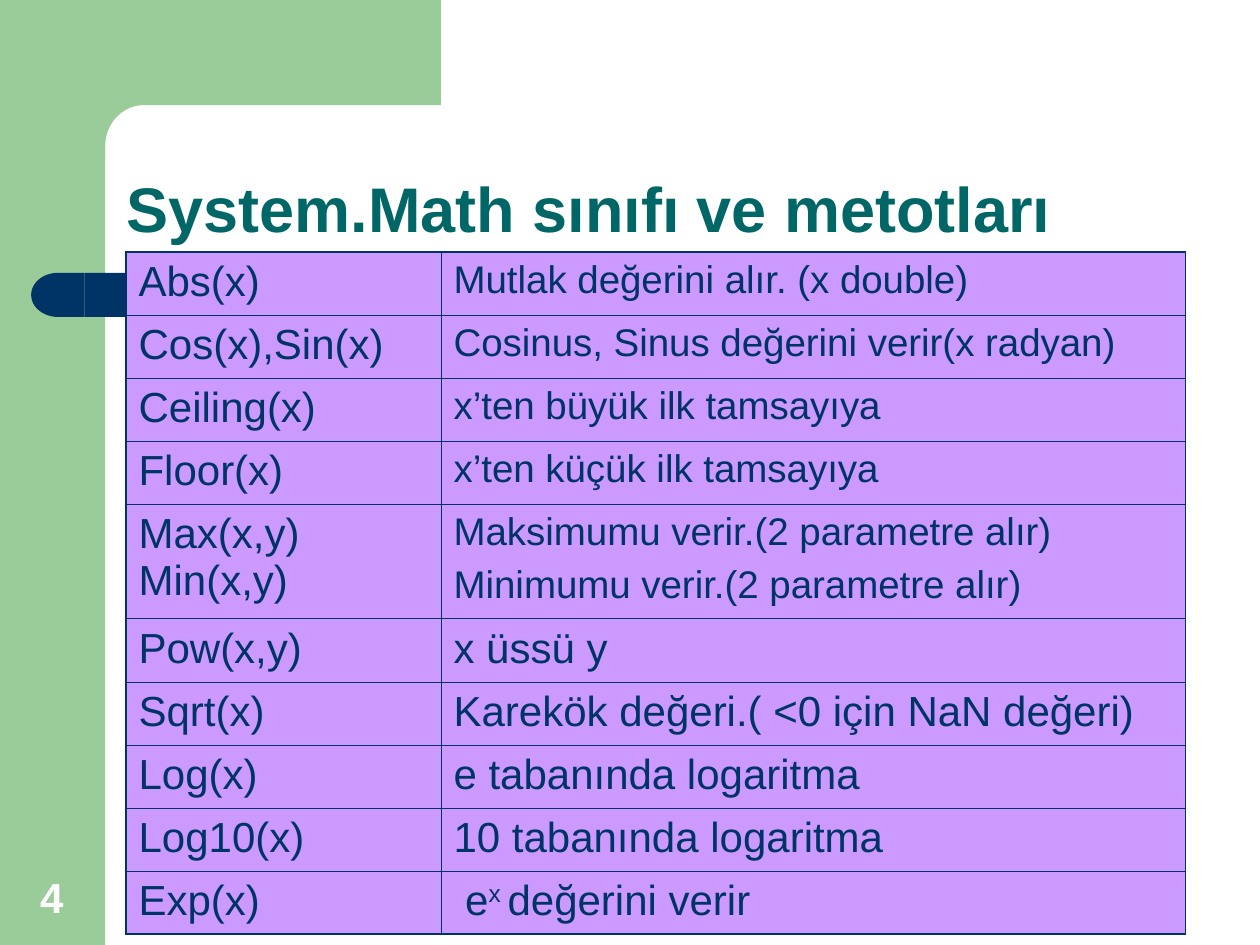
import math
from dataclasses import dataclass

import pptx
import pptx.dml.color
import pptx.enum.shapes
import pptx.enum.text
import pptx.oxml
import pptx.oxml.ns
import pptx.util

Cm, Pt = pptx.util.Cm, pptx.util.Pt
SHAPE = pptx.enum.shapes.MSO_SHAPE
ALIGN = pptx.enum.text.PP_ALIGN
ANCHOR = pptx.enum.text.MSO_ANCHOR


@dataclass(frozen=True)
class Theme:
    font: str = "Arial"
    green: str = "99CC99"
    navy: str = "003366"
    teal: str = "006666"
    violet: str = "CC99FF"
    white: str = "FFFFFF"
    title: float = 36
    body: float = 24
    small: float = 22
    outer: float = 1.08
    inner: float = 0.45


T = Theme()

# Method, description paragraphs, description size
METHODS = [
    ("Abs(x)", ["Mutlak değerini alır. (x double)"], T.small),
    ("Cos(x),Sin(x)", ["Cosinus, Sinus değerini verir(x radyan)"], T.small),
    ("Ceiling(x)", ["x’ten büyük ilk tamsayıya"], T.small),
    ("Floor(x)", ["x’ten küçük ilk tamsayıya"], T.small),
    ("Max(x,y) Min(x,y)", ["Maksimumu verir.(2 parametre alır)",
                           "Minimumu verir.(2 parametre alır)"], T.small),
    ("Pow(x,y)", ["x üssü y"], T.body),
    ("Sqrt(x)", ["Karekök değeri.( <0 için NaN değeri)"], T.body),
    ("Log(x)", ["e tabanında logaritma"], T.body),
    ("Log10(x)", ["10 tabanında logaritma"], T.body),
    ("Exp(x)", [[(" e", 0), ("x ", 30), ("değerini verir", 0)]], T.body),
]


def rgb(color):
    return pptx.dml.color.RGBColor.from_string(color)


def add_run(p, text, size=T.body, color=T.navy, bold=False, raised=0):
    r = p.add_run()
    r.text = text
    f = r.font
    f.name, f.size, f.bold = T.font, Pt(size), bold
    f.color.rgb = rgb(color)
    if raised:
        r._r.get_or_add_rPr().set("baseline", str(raised * 1000))


def paint(sp, color):
    sp.shadow.inherit = False
    sp.fill.solid()
    sp.fill.fore_color.rgb = rgb(color)
    sp.line.fill.background()
    return sp


def add_block(s, kind, x, y, w, h, color):
    return paint(s.shapes.add_shape(kind, Cm(x), Cm(y), Cm(w), Cm(h)), color)


def add_label(s, x, y, w, h, text, align=ALIGN.LEFT, spacing=1.0, **fmt):
    tf = s.shapes.add_textbox(Cm(x), Cm(y), Cm(w), Cm(h)).text_frame
    tf.word_wrap = True
    tf.vertical_anchor = ANCHOR.BOTTOM
    p = tf.paragraphs[0]
    p.alignment, p.line_spacing = align, spacing
    add_run(p, text, **fmt)


def add_frame(s, x, y, w, h):
    """Green side band and the top band with its rounded inner corner."""
    band = 2.12
    add_block(s, SHAPE.RECTANGLE, x, y, band, h, T.green)
    rx, ry = 0.78, 0.83
    cx, cy = x + band + rx, y + band + ry
    arc = [(cx - rx * math.sin(a), cy - ry * math.cos(a))
           for a in (math.radians(d) for d in range(0, 91, 6))]
    left, foot = x + 1.27, y + 3.25
    points = [(x + w, y + band), *arc, (x + band, foot), (left, foot), (left, y)]
    fb = s.shapes.build_freeform(Cm(x + w), Cm(y))
    fb.add_line_segments([(Cm(px), Cm(py)) for px, py in points], close=True)
    paint(fb.convert_to_shape(), T.green)


def add_bar(s, x, y, w, h):
    """Navy bar with a rounded left end."""
    cap = 1.08
    bar = add_block(s, SHAPE.ROUNDED_RECTANGLE, x + cap, y, w - cap, h, T.navy)
    bar.adjustments[0] = 0
    end = add_block(s, SHAPE.FLOWCHART_DELAY, x, y, cap, h, T.navy)
    end._element.spPr.get_or_add_xfrm().set("flipH", "1")


def set_border(cell, side, width):
    ns = pptx.oxml.ns.nsdecls("a")
    cell._tc.get_or_add_tcPr().append(pptx.oxml.parse_xml(
        f'<a:ln{side} {ns} w="{Pt(width)}"><a:solidFill>'
        f'<a:srgbClr val="{T.navy}"/></a:solidFill></a:ln{side}>'))


def fill_cell(cell, paragraphs, size, outer):
    for side in "LRTB":
        set_border(cell, side, T.outer if side in outer else T.inner)
    cell.fill.solid()
    cell.fill.fore_color.rgb = rgb(T.violet)
    tf = cell.text_frame
    for i, runs in enumerate(paragraphs):
        p = tf.add_paragraph() if i else tf.paragraphs[0]
        if i:
            p.space_before = Pt(size / 4)
        for text, raised in [(runs, 0)] if isinstance(runs, str) else runs:
            add_run(p, text, size, raised=raised)


def add_methods(s, x, y, w, h):
    """Table of methods; a row with two paragraphs takes the height left over."""
    row_h, name_w = 1.27, 6.35
    last = len(METHODS) - 1
    tbl = s.shapes.add_table(len(METHODS), 2, Cm(x), Cm(y), Cm(w), Cm(h)).table
    tbl.first_row = tbl.horz_banding = False
    tbl.columns[0].width, tbl.columns[1].width = Cm(name_w), Cm(w - name_w)
    for i, (name, description, size) in enumerate(METHODS):
        tall = len(description) > 1
        tbl.rows[i].height = Cm(h - last * row_h if tall else row_h)
        edge = "T" if i == 0 else "B" if i == last else ""
        fill_cell(tbl.cell(i, 0), [name], T.body, "L" + edge)
        fill_cell(tbl.cell(i, 1), description, size, "R" + edge)


def main():
    prs = pptx.Presentation()
    prs.slide_width, prs.slide_height = Cm(25.4), Cm(19.05)
    s = prs.slides.add_slide(prs.slide_layouts[6])

    # Background decoration
    add_frame(s, 0, 0, 8.89, 19.05)
    add_bar(s, 0.63, 5.5, 20.55, 0.89)

    # Slide number and title
    add_label(s, 0.23, 17.35, 1.63, 1.35, "4", align=ALIGN.CENTER,
              color=T.white, bold=True)
    add_label(s, 2.31, 2.31, 21.62, 2.77, "System.Math sınıfı ve metotları",
              spacing=0.9, size=T.title, color=T.teal, bold=True)

    # Methods
    add_methods(s, 2.54, 5.08, 21.36, 13.74)
    prs.save("out.pptx")


if __name__ == "__main__":
    main()
